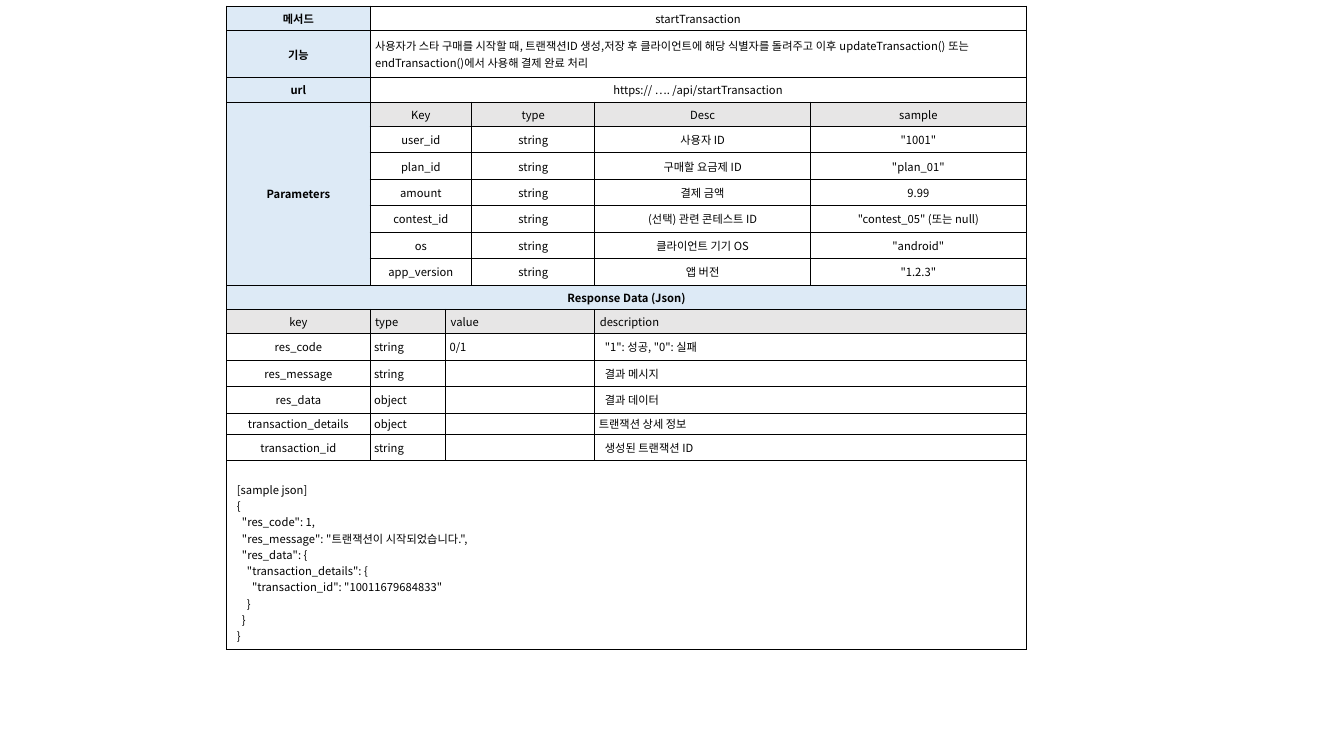
import pptx
import pptx.util
import pptx.dml.color
import pptx.enum.text
import pptx.oxml
import pptx.oxml.ns
from lxml import etree

Inches = pptx.util.Inches
Pt = pptx.util.Pt
RGB = pptx.dml.color.RGBColor.from_string
ALIGN = pptx.enum.text.PP_ALIGN
ANCHOR = pptx.enum.text.MSO_ANCHOR
qn = pptx.oxml.ns.qn

THEME = {
    "font": "Noto Sans CJK KR",
    "size": Pt(8),
    "line": Pt(0.75),
    "ink": "000000",
    "blue": "DDEAF6",
    "grey": "E7E6E6",
    "white": "FFFFFF",
}

# Cell padding: sides, then top and bottom
PADS = {"mid": (0.05, 0.04), "wide": (0.1, 0.05), "slim": (0.04, 0.02)}

# Cell looks: fill, bold, alignment, padding
LOOKS = {
    "label": ("blue", True, ALIGN.CENTER, "mid"),
    "head": ("grey", False, ALIGN.CENTER, "mid"),
    "lead": ("grey", False, ALIGN.LEFT, "mid"),
    "info": ("white", False, ALIGN.CENTER, "mid"),
    "note": ("white", False, ALIGN.LEFT, "mid"),
    "item": ("white", False, ALIGN.CENTER, "wide"),
    "text": ("white", False, ALIGN.LEFT, "wide"),
    "tight": ("white", False, ALIGN.CENTER, "slim"),
    "plain": ("white", False, ALIGN.LEFT, "slim"),
}

COLS = [1.42, 0.75, 0.26, 1.22, 2.14, 2.14]

# Top rows: label, value, look, height
INTRO = [
    ("메서드", "startTransaction", "info", 0.24),
    ("기능", "사용자가 스타 구매를 시작할 때, 트랜잭션ID 생성,저장 후 클라이언트에 해당 "
     "식별자를 돌려주고 이후 updateTransaction() 또는 endTransaction()에서 사용해 "
     "결제 완료 처리", "note", 0.47),
    ("url", "https:// …. /api/startTransaction", "info", 0.24),
]

PARAMS = [
    ("Key", "type", "Desc", "sample"),
    ("user_id", "string", "사용자 ID", '"1001"'),
    ("plan_id", "string", "구매할 요금제 ID", '"plan_01"'),
    ("amount", "string", "결제 금액", "9.99"),
    ("contest_id", "string", "(선택) 관련 콘테스트 ID", '"contest_05" (또는 null)'),
    ("os", "string", "클라이언트 기기 OS", '"android"'),
    ("app_version", "string", "앱 버전", '"1.2.3"'),
]

FIELDS = [
    ("key", "type", "value", "description"),
    ("res_code", "string", "0/1", '"1": 성공, "0": 실패'),
    ("res_message", "string", "", "결과 메시지"),
    ("res_data", "object", "", "결과 데이터"),
    ("transaction_details", "object", "", "트랜잭션 상세 정보"),
    ("transaction_id", "string", "", "생성된 트랜잭션 ID"),
]

SAMPLE = """[sample json]
{
  "res_code": 1,
  "res_message": "트랜잭션이 시작되었습니다.",
  "res_data": {
    "transaction_details": {
      "transaction_id": "10011679684833"
    }
  }
}"""


def put(obj, vals):
    for name, val in vals.items():
        setattr(obj, name, val)


def edge(cell):
    props = cell._tc.get_or_add_tcPr()
    for i, side in enumerate(("lnL", "lnR", "lnT", "lnB")):
        line = etree.Element(qn("a:" + side), w=str(int(THEME["line"])))
        fill = etree.SubElement(line, qn("a:solidFill"))
        etree.SubElement(fill, qn("a:srgbClr"), val=THEME["ink"])
        props.insert(i, line)


def write(para, text, bold, align):
    para.alignment = align
    if not text:
        # An empty cell keeps the small type size
        etree.SubElement(para._p, qn("a:endParaRPr"), sz=str(int(THEME["size"].pt * 100)))
        return
    run = para.add_run()
    run.text = text
    put(run.font, {"name": THEME["font"], "size": THEME["size"], "bold": bold})
    run.font.color.rgb = RGB(THEME["ink"])
    etree.SubElement(run.font._element, qn("a:ea"), typeface=THEME["font"])


def fill(table, row, col, text, look, wide=1, tall=1, anchor=ANCHOR.MIDDLE):
    cell = table.cell(row, col)
    if wide * tall > 1:
        cell.merge(table.cell(row + tall - 1, col + wide - 1))
    tint, bold, align, pad = LOOKS[look]
    side, top = map(Inches, PADS[pad])
    put(cell, {"margin_left": side, "margin_right": side, "margin_top": top,
               "margin_bottom": top, "vertical_anchor": anchor})
    for r in range(row, row + tall):
        for c in range(col, col + wide):
            part = table.cell(r, c)
            part.fill.solid()
            part.fill.fore_color.rgb = RGB(THEME[tint])
            edge(part)
    frame = cell.text_frame
    for i, line in enumerate(text.split("\n")):
        para = frame.add_paragraph() if i else frame.paragraphs[0]
        write(para, line, bold, align)


def grid(slide, highs):
    frame = slide.shapes.add_table(len(highs), len(COLS), Inches(2.25), Inches(0.06),
                                   Inches(sum(COLS)), Inches(sum(highs)))
    table = frame.table
    put(table, {"first_row": False, "horz_banding": False})
    for col, width in zip(table.columns, COLS):
        col.width = Inches(width)
    for row, high in zip(table.rows, highs):
        row.height = Inches(high)
    return table


def main():
    deck = pptx.Presentation()
    put(deck, {"slide_width": Inches(13.33), "slide_height": Inches(7.5)})
    slide = deck.slides.add_slide(deck.slide_layouts[6])

    highs = [high for *_, high in INTRO]
    highs += [0.24] + [0.26] * 6 + [0.24, 0.24] + [0.26] * 3 + [0.21, 0.26, 1.87]
    table = grid(slide, highs)

    # Method summary
    for row, (label, value, look, _) in enumerate(INTRO):
        fill(table, row, 0, label, "label")
        fill(table, row, 1, value, look, wide=5)

    # Request parameters
    top = len(INTRO)
    fill(table, top, 0, "Parameters", "label", tall=len(PARAMS))
    for i, (key, kind, desc, value) in enumerate(PARAMS):
        item, info = ("item", "info") if i else ("head", "head")
        fill(table, top + i, 1, key, item, wide=2)
        fill(table, top + i, 3, kind, info)
        fill(table, top + i, 4, desc, item)
        fill(table, top + i, 5, value, item)

    # Response fields
    top += len(PARAMS)
    fill(table, top, 0, "Response Data (Json)", "label", wide=6)
    top += 1
    for i, (key, kind, value, desc) in enumerate(FIELDS):
        item, plain, text = ("item", "plain", "text") if i else ("head", "lead", "lead")
        if key == "transaction_details":
            item, text = "tight", "plain"
        fill(table, top + i, 0, key, item)
        fill(table, top + i, 1, kind, plain)
        fill(table, top + i, 2, value, plain, wide=2)
        fill(table, top + i, 4, desc, text, wide=2)

    # Sample response
    fill(table, top + len(FIELDS), 0, SAMPLE, "text", wide=6, anchor=ANCHOR.BOTTOM)
    deck.save("out.pptx")


if __name__ == "__main__":
    main()
